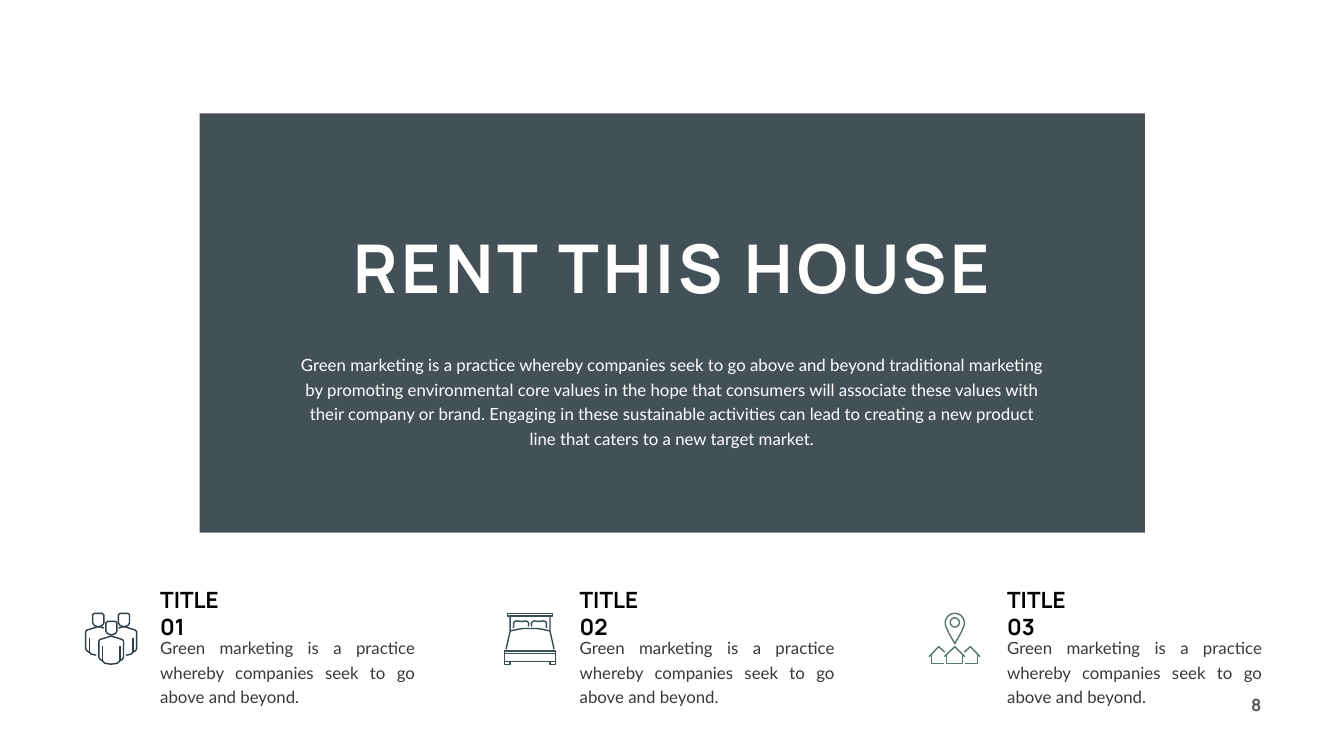
import math

import lxml.etree
import pptx
import pptx.dml.color
import pptx.enum.shapes
import pptx.enum.text
import pptx.oxml.ns
import pptx.util

SCALE = 9144
ICON_SIZE = 103
COLORS = {
    "panel": "2F3E46",
    "bed": "364F52",
    "place": "53796F",
    "white": "FFFFFF",
    "black": "000000",
    "body": "393939",
    "number": "595959",
}
ALIGN = pptx.enum.text.PP_ALIGN
ANCHOR = pptx.enum.text.MSO_ANCHOR
INTRO = (
    "Green marketing is a practice whereby companies seek to go above and beyond "
    "traditional marketing by promoting environmental core values in the hope that "
    "consumers will associate these values with their company or brand. Engaging in "
    "these sustainable activities can lead to creating a new\u00a0product line that "
    "caters to a new\u00a0target market."
)
SUMMARY = "Green marketing is a practice whereby companies seek to go above and beyond."
HEADING = {"name": "Manrope", "size": pptx.util.Pt(32), "bold": True}
COPY = {"name": "Lato", "size": pptx.util.Pt(24)}
SPACING = {"line_spacing": pptx.util.Pt(35)}


def px(length):
    """Turn px into EMU."""
    return pptx.util.Emu(round(length * SCALE))


def rgb(name):
    """Look up a colour by name."""
    return pptx.dml.color.RGBColor.from_string(COLORS[name])


def set_all(target, values):
    """Set each attribute in a dict of format values."""
    for key, value in values.items():
        setattr(target, key, value)


def add_text(page, text, place, color, font, para_format, frame_format=None, tracking=0):
    """Add a text box with one formatted paragraph."""
    frame = page.shapes.add_textbox(*map(px, place)).text_frame
    set_all(frame, {"word_wrap": True, **(frame_format or {})})
    para = frame.paragraphs[0]
    set_all(para, para_format)
    span = para.add_run()
    span.text = text
    set_all(span.font, font)
    span.font.color.rgb = rgb(color)
    if tracking:
        span.font._element.set("spc", str(tracking * 100))


def add_panel(page, place, color, opacity):
    """Add a plain rectangle with a partly clear fill."""
    panel = page.shapes.add_shape(
        pptx.enum.shapes.MSO_SHAPE.RECTANGLE, *map(px, place))
    panel.shadow.inherit = False
    panel.fill.solid()
    panel.fill.fore_color.rgb = rgb(color)
    panel.line.fill.background()
    qn = pptx.oxml.ns.qn
    tint = panel._element.spPr.find(".//" + qn("a:srgbClr"))
    lxml.etree.SubElement(tint, qn("a:alpha")).set("val", str(opacity * 1000))


def add_icon(page, strokes, left, top, color):
    """Draw open strokes as one outlined freeform."""
    first, *_ = strokes[0]
    builder = page.shapes.build_freeform(*map(px, first))
    for index, (start, *rest) in enumerate(strokes):
        if index:
            builder.move_to(*map(px, start))
        builder.add_line_segments([(px(x), px(y)) for x, y in rest], close=False)
    icon = builder.convert_to_shape(px(left), px(top))
    icon.shadow.inherit = False
    icon.fill.background()
    icon.line.color.rgb = rgb(color)
    icon.line.width = pptx.util.Pt(2)


def arc(center_x, center_y, radius, start, end):
    """Return points along an arc, in degrees."""
    angles = [math.radians(angle) for angle in range(start, end + 1, 10)]
    return [(center_x + radius * math.cos(a), center_y + radius * math.sin(a))
            for a in angles]


def rect(left, top, right, bottom):
    """Return the closed outline of a rectangle."""
    return [(left, top), (right, top), (right, bottom), (left, bottom), (left, top)]


def both_sides(strokes):
    """Return strokes together with their mirror images."""
    return strokes + [[(ICON_SIZE - x, y) for x, y in stroke] for stroke in strokes]


def people_strokes():
    """Return the outlines of three people."""
    head = [(44, 17), (60, 17), (63, 20), (63, 36), (60, 41), (52, 44),
            (44, 41), (41, 36), (41, 20), (44, 17)]
    side_head = [(x - 26, y - 16) for x, y in head]
    half_body = [(52, 46), (29, 53), (27, 56), (27, 88), (29, 92), (34, 95),
                 (39, 100), (52, 102)]
    side_body = [(37, 30), (26, 27), (4, 34), (1, 37), (1, 71), (3, 75),
                 (8, 78), (12, 82), (22, 84)]
    arms = [[(34, 65), (34, 95)], [(8, 49), (8, 78)]]
    return [head] + both_sides([side_head, half_body, side_body, *arms])


def bed_strokes():
    """Return the outlines of a double bed."""
    pillow = [(19, 30), (19, 20), (21, 17), (25, 16), (34, 17), (44, 16),
              (47, 18), (49, 21), (48, 27)]
    side = [(12, 6), (12, 36), (4, 72)]
    sheet = [(12, 36), (25, 33), (38, 31), (52, 31)]
    foot = rect(1, 96, 12, 102)
    return [rect(7, 1, 96, 6), rect(1, 76, 102, 96), [(1, 81), (102, 81)],
            *both_sides([pillow, side, sheet, foot])]


def place_strokes():
    """Return the outlines of a map pin above three houses."""
    pin = arc(52, 20, 19, 160, 380)
    pin += [(64, 40), (52, 61), (40, 40), pin[0]]
    side_roof = [(1, 87), (20, 67), (32, 78)]
    side_walls = [(6, 82), (6, 101), (31, 101)]
    return [pin, arc(52, 19, 9, 0, 360), [(31, 87), (52, 67), (72, 87)],
            [(36, 82), (36, 101), (67, 101), (67, 82)],
            *both_sides([side_roof, side_walls])]


def add_feature(page, title, text_left, icon_left, strokes, color):
    """Add an icon with its title and summary."""
    add_icon(page, strokes, icon_left, 1216, color)
    add_text(page, title, (text_left, 1184, 190, 64), "black", HEADING, {},
             {"vertical_anchor": ANCHOR.MIDDLE})
    add_text(page, SUMMARY, (text_left, 1252, 525, 152), "body", COPY,
             {"alignment": ALIGN.JUSTIFY, **SPACING})


def main():
    """Build and save the slide."""
    deck = pptx.Presentation()
    set_all(deck, {"slide_width": px(2666), "slide_height": px(1500)})
    page = deck.slides.add_slide(deck.slide_layouts[6])
    add_text(page, "8", (2441, 1373, 71, 50), "number",
             {**HEADING, "size": pptx.util.Pt(24)}, {"alignment": ALIGN.RIGHT})
    add_panel(page, (396, 225, 1875, 832), "panel", 90)
    add_text(page, "RENT THIS HOUSE", (683, 445, 1300, 172), "white",
             {**HEADING, "size": pptx.util.Pt(96)}, {"alignment": ALIGN.CENTER},
             {"word_wrap": False}, tracking=6)
    add_text(page, INTRO, (578, 691, 1509, 201), "white", COPY,
             {"alignment": ALIGN.CENTER, **SPACING})
    features = [
        ("TITLE 01", 308, 169, people_strokes(), "panel"),
        ("TITLE 02", 1140, 1000, bed_strokes(), "bed"),
        ("TITLE 03", 1988, 1842, place_strokes(), "place"),
    ]
    for feature in features:
        add_feature(page, *feature)
    deck.save("out.pptx")


if __name__ == "__main__":
    main()
